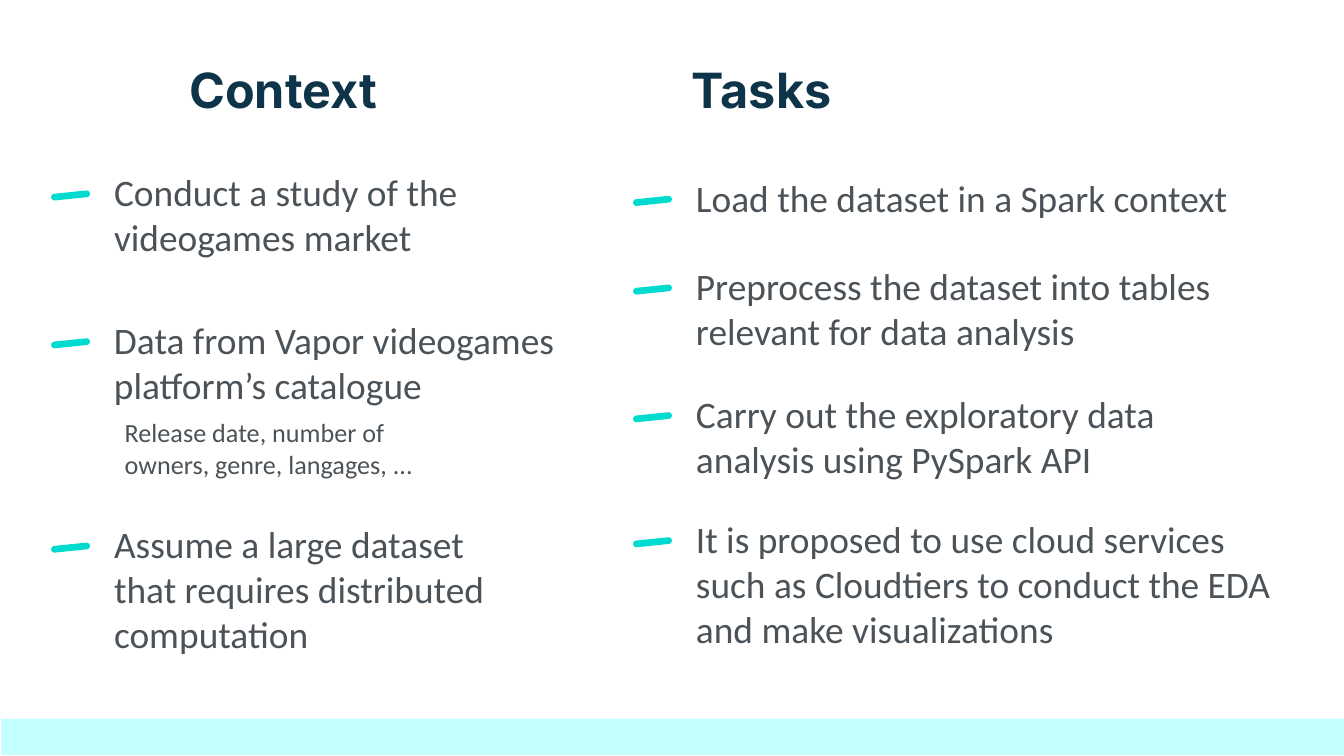
"""Build a two-column slide listing a project's context and tasks."""
from typing import NamedTuple

from pptx import Presentation
from pptx.dml.color import RGBColor
from pptx.enum.shapes import MSO_SHAPE
from pptx.enum.text import MSO_ANCHOR, PP_ALIGN
from pptx.util import Inches, Pt

NAVY, GRAY, TEAL, PALE_TEAL = "0E3449", "4B5258", "00DBD0", "C3FFFC"


class Item(NamedTuple):
    text: str
    top: float
    width: float
    height: float


class Column(NamedTuple):
    heading: str
    heading_left: float
    left: float
    items: list[Item]


COLUMNS = [
    Column("Context", 1.31, 0.75, [
        Item("Conduct a study of the videogames market", 1.16, 3.01, 0.83),
        Item("Data from Vapor videogames platform’s catalogue", 2.26, 3.56, 0.87),
        Item("Assume a large dataset that requires distributed computation",
             3.78, 3.15, 1.26),
    ]),
    Column("Tasks", 5.05, 5.08, [
        Item("Load the dataset in a Spark context", 1.2, 4.8, 0.54),
        Item("Preprocess the dataset into tables relevant for data analysis",
             1.86, 4.19, 0.85),
        Item("Carry out the exploratory data analysis using PySpark API",
             2.81, 3.98, 0.9),
        Item("It is proposed to use cloud services such as Cloudtiers to conduct "
             "the EDA and make visualizations", 3.74, 4.66, 1.25),
    ]),
]
DETAIL = Item("Release date, number of owners, genre, langages, ...", 3, 2.6, 0.69)


def rgb(value: str) -> RGBColor:
    return RGBColor.from_string(value)


def add_text(slide, text: str, *, left: float, top: float, width: float,
             height: float, size: float = 20, font: str = "Calibri",
             color: str = GRAY, bold: bool = False) -> None:
    box = slide.shapes.add_textbox(
        Inches(left), Inches(top), Inches(width), Inches(height))
    frame = box.text_frame
    frame.word_wrap = True
    frame.vertical_anchor = MSO_ANCHOR.TOP
    frame.margin_left = frame.margin_right = Inches(0.1)
    frame.margin_top = frame.margin_bottom = Inches(0.1)
    paragraph = frame.paragraphs[0]
    paragraph.alignment = PP_ALIGN.LEFT
    run = paragraph.add_run()
    run.text = text
    run.font.name = font
    run.font.size = Pt(size)
    run.font.bold = bold
    run.font.color.rgb = rgb(color)


def add_block(slide, kind: MSO_SHAPE, left: float, top: float, width: float,
              height: float, color: str):
    block = slide.shapes.add_shape(
        kind, Inches(left), Inches(top), Inches(width), Inches(height))
    block.shadow.inherit = False
    block.fill.solid()
    block.fill.fore_color.rgb = rgb(color)
    block.line.fill.background()
    return block


def add_item(slide, item: Item, left: float) -> None:
    add_text(slide, item.text, left=left, top=item.top,
             width=item.width, height=item.height)
    dash = add_block(slide, MSO_SHAPE.ROUNDED_RECTANGLE,
                     left - 0.37, item.top + 0.27, 0.29, 0.05, TEAL)
    dash.adjustments[0] = 0.5
    dash.rotation = 354.1


def add_column(slide, column: Column) -> None:
    add_text(slide, column.heading, left=column.heading_left, top=0.35, width=2,
             height=0.68, size=26, font="Inter", color=NAVY, bold=True)
    for item in column.items:
        add_item(slide, item, column.left)


def main() -> None:
    deck = Presentation()
    deck.slide_width, deck.slide_height = Inches(10), Inches(10 * 9 / 16)
    slide = deck.slides.add_slide(deck.slide_layouts[6])
    add_block(slide, MSO_SHAPE.RECTANGLE, 0.01, 5.35, 10, 0.27, PALE_TEAL)
    for column in COLUMNS:
        add_column(slide, column)
    add_text(slide, DETAIL.text, left=0.83, top=DETAIL.top, width=DETAIL.width,
             height=DETAIL.height, size=14)
    deck.save("out.pptx")


if __name__ == "__main__":
    main()
